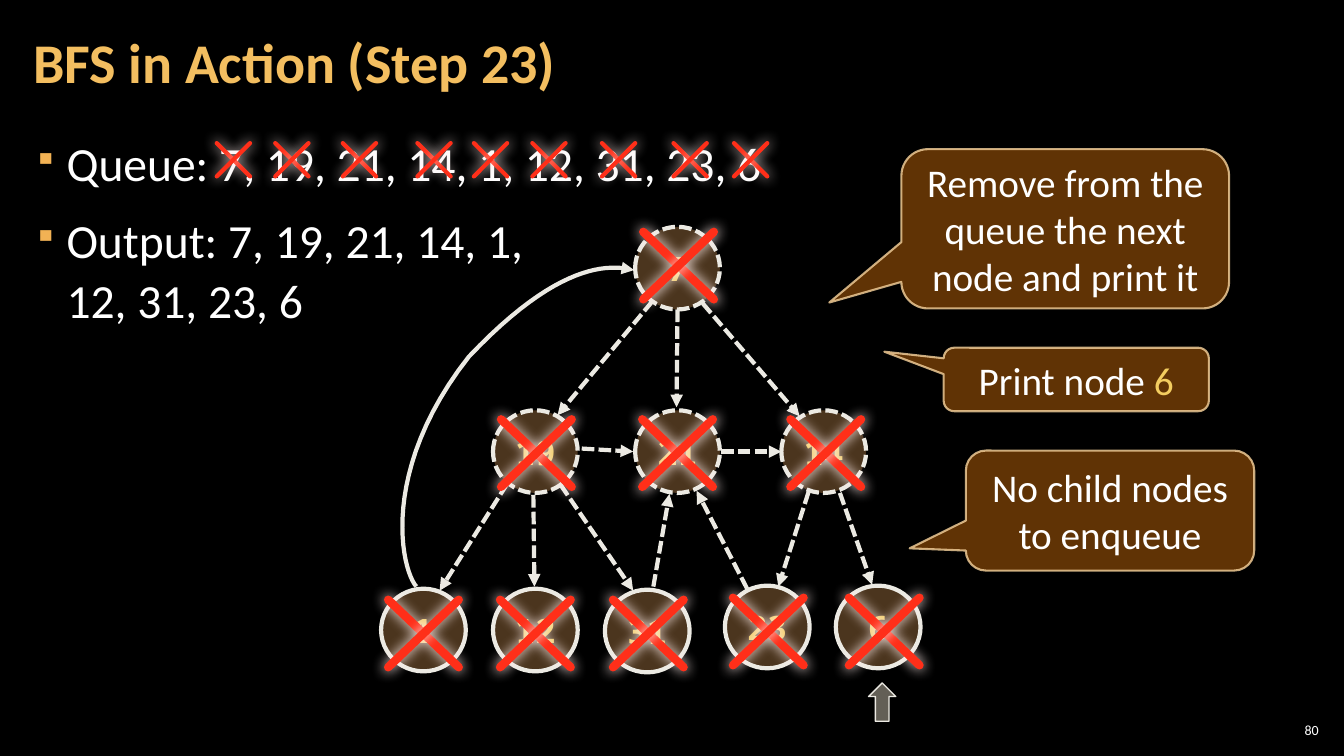
from lxml.etree import SubElement
from pptx import Presentation
from pptx.dml.color import RGBColor
from pptx.enum.dml import MSO_LINE
from pptx.enum.shapes import MSO_CONNECTOR, MSO_SHAPE
from pptx.enum.text import MSO_ANCHOR, PP_ALIGN
from pptx.oxml.ns import qn
from pptx.util import Inches, Pt

CREAM, RED, GOLD, WHITE = "ECEAE3", "FF2F19", "F3CD60", "FFFFFF"
NODE_WIDTH, NODE_HEIGHT = 0.84, 0.82


def paint(fill, color, alpha=100):
    fill.solid()
    fill.fore_color.rgb = RGBColor.from_string(color)
    if alpha < 100:
        tone = fill._xPr.find(qn("a:solidFill"))[0]
        SubElement(tone, qn("a:alpha"), val=str(alpha * 1000))


def add_stroke(start, end, color, width):
    """Add a straight line without a shadow; return it and its effect list."""
    stroke = slide.shapes.add_connector(
        MSO_CONNECTOR.STRAIGHT, *map(Inches, start + end))
    paint(stroke.line.fill, color)
    stroke.line.width = Pt(width)
    return stroke, SubElement(stroke._element.spPr, qn("a:effectLst"))


prs = Presentation()
prs.slide_width, prs.slide_height = Inches(13.33), Inches(7.5)
slide = prs.slides.add_slide(prs.slide_layouts[5])
paint(slide.background.fill, "000000")
lettering = []  # (shape, colour, font format), applied together below

# Title, lists and slide number
title = slide.shapes.title
title.left, title.top, title.width, title.height = map(Inches, (0.21, 0.04, 10.47, 1.21))
title.text_frame.text = "BFS in Action (Step 23)"
title.text_frame.paragraphs[0].line_spacing = 0.9
lettering.append((title, "F3BE60", {"size": Pt(40), "name": "Calibri", "bold": True}))

lists = slide.shapes.add_textbox(*map(Inches, (0.21, 1.26, 12.91, 6.09)))
lists.text_frame.text = ("Queue: 7, 19, 21, 14, 1, 12, 31, 23, 6\n"
                         "Output: 7, 19, 21, 14, 1,\v12, 31, 23, 6")
for index, paragraph in enumerate(lists.text_frame.paragraphs):
    properties = paragraph._p.get_or_add_pPr()
    properties.set("marL", str(Inches(0.33)))
    properties.set("indent", str(-Inches(0.33)))
    SubElement(SubElement(properties, qn("a:buClr")), qn("a:srgbClr"), val="F2B254")
    SubElement(properties, qn("a:buSzPct"), val="70000")
    SubElement(properties, qn("a:buChar"), char="▪")
    paragraph.line_spacing = 1.05
    paragraph.space_before = Pt(6 if index else 0)
    paragraph.space_after = Pt(6)
lettering.append((lists, WHITE, {"size": Pt(34), "name": "Calibri"}))

number = slide.shapes.add_textbox(*map(Inches, (12.65, 7.14, 0.47, 0.21)))
number.text_frame.text = "80"
lettering.append((number, WHITE, {"size": Pt(10), "name": "Calibri"}))

for block, side, anchor, align in (
        (title, 0.12, MSO_ANCHOR.MIDDLE, PP_ALIGN.LEFT),
        (lists, 0.12, MSO_ANCHOR.TOP, PP_ALIGN.LEFT),
        (number, 0.04, MSO_ANCHOR.MIDDLE, PP_ALIGN.RIGHT)):
    layout = {"margin_left": Inches(side), "margin_right": Inches(side),
              "margin_top": Inches(0.04), "margin_bottom": Inches(0.04),
              "vertical_anchor": anchor, "word_wrap": True}
    for name, value in layout.items():
        setattr(block.text_frame, name, value)
    for paragraph in block.text_frame.paragraphs:
        paragraph.alignment = align

# Pointer below the current node
pointer = slide.shapes.add_shape(
    MSO_SHAPE.RIGHT_ARROW, *map(Inches, (8.56, 6.83, 0.38, 0.27)))
pointer.rotation = 270
pointer.shadow.inherit = False
paint(pointer.fill, "C7BFAC", 50)
paint(pointer.line.fill, CREAM)
pointer.line.width = Pt(1)

# Graph edges
edges = [
    ((6.47, 2.99), (5.53, 4.12)), ((6.72, 3.07), (6.71, 4.04)),
    ((6.97, 3.01), (7.93, 4.13)), ((5.77, 4.45), (6.28, 4.48)),
    ((7.15, 4.48), (7.75, 4.48)), ((5.03, 4.80), (4.36, 5.86)),
    ((5.29, 4.91), (5.30, 5.82)), ((5.56, 4.81), (6.28, 5.86)),
    ((6.48, 5.82), (6.64, 4.90)), ((7.41, 5.84), (6.91, 4.87)),
    ((8.02, 4.88), (7.72, 5.82)), ((8.33, 4.89), (8.65, 5.80)),
]
for start, end in edges:
    edge, _ = add_stroke(start, end, CREAM, 3)
    edge.line.dash_style = MSO_LINE.SQUARE_DOT
    SubElement(edge.line._ln, qn("a:tailEnd"), type="triangle")

# Curved edge from node 1 back to node 7, as points on two Bézier arcs
arcs = [((4.13, 5.82), (3.98, 5.65), (3.76, 4.67), (4.65, 3.54)),
        ((4.65, 3.54), (5.54, 2.60), (6.04, 2.62), (6.29, 2.68))]
steps = 24
curve_points = []
for arc in arcs:
    for step in range(1, steps + 1):
        t = step / steps
        weights = ((1 - t) ** 3, 3 * t * (1 - t) ** 2, 3 * t * t * (1 - t), t ** 3)
        curve_points.append(tuple(
            Inches(sum(w * point[axis] for w, point in zip(weights, arc)))
            for axis in (0, 1)))
outline = slide.shapes.build_freeform(*map(Inches, arcs[0][0]))
outline.add_line_segments(curve_points, close=False)
back_edge = outline.convert_to_shape()
back_edge.shadow.inherit = False
back_edge.fill.background()
paint(back_edge.line.fill, CREAM)
back_edge.line.width = Pt(3)
SubElement(back_edge.line._ln, qn("a:round"))
SubElement(back_edge.line._ln, qn("a:tailEnd"), type="triangle")

# Nodes: label, left, top, left and top of the cross, dashed outline
nodes = [
    ("7", 6.30, 2.25, 6.38, 2.30, True),
    ("19", 4.89, 4.07, 4.97, 4.16, True),
    ("21", 6.30, 4.07, 6.37, 4.16, True),
    ("14", 7.75, 4.07, 7.84, 4.16, True),
    ("1", 3.78, 5.84, 3.85, 5.95, False),
    ("12", 4.89, 5.84, 4.96, 5.95, False),
    ("31", 6.00, 5.85, 6.08, 5.95, False),
    ("23", 7.19, 5.81, 7.27, 5.93, False),
    ("6", 8.29, 5.81, 8.42, 5.93, False),
]
queue_lefts = (2.15, 2.73, 3.40, 4.14, 4.70, 5.28, 5.97, 6.68, 7.28)
crosses = [(left, 1.42, 0.33, 0.33, 3) for left in queue_lefts]
for label, left, top, cross_left, cross_top, dashed in nodes:
    node = slide.shapes.add_shape(
        MSO_SHAPE.OVAL, *map(Inches, (left, top, NODE_WIDTH, NODE_HEIGHT)))
    node.shadow.inherit = False
    paint(node.fill, "6C4C2C", 70)
    paint(node.line.fill, CREAM)
    node.line.width = Pt(3)
    if dashed:
        node.line.dash_style = MSO_LINE.SQUARE_DOT
    node.text_frame.text = label
    node.text_frame.word_wrap = False
    node.text_frame.vertical_anchor = MSO_ANCHOR.MIDDLE
    node.text_frame.paragraphs[0].alignment = PP_ALIGN.CENTER
    lettering.append((node, GOLD, {"size": Pt(24), "name": "Noto Sans Mono", "bold": True}))
    crosses.append((cross_left, cross_top, 0.7, 0.67, 6))

# Glowing crosses over the queue and the visited nodes
for left, top, width, height, weight in crosses:
    right, bottom = left + width, top + height
    for start, end in (((left, top), (right, bottom)), ((right, top), (left, bottom))):
        bar, effects = add_stroke(start, end, RED, weight)
        bar.line._ln.set("cap", "rnd")
        glow = SubElement(effects, qn("a:outerShdw"), blurRad=str(Pt(10)),
                          dist="0", dir="5400000", algn="ctr", rotWithShape="0")
        SubElement(glow, qn("a:srgbClr"), val="FFEDEB")

# Callouts: text, box, tip of the wedge
callouts = [
    (["Remove from the queue the next node and print it"],
     (8.94, 1.48, 3.25, 1.58), (-0.72, 0.463)),
    (["No child nodes to enqueue"], (9.58, 4.47, 2.86, 1.19), (-0.695, 0.315)),
    (["Print node ", "6"], (9.36, 3.45, 2.63, 0.63), (-0.724, -0.437)),
]
for parts, box, tip in callouts:
    callout = slide.shapes.add_shape(
        MSO_SHAPE.ROUNDED_RECTANGULAR_CALLOUT, *map(Inches, box))
    callout.adjustments[0], callout.adjustments[1] = tip
    callout.shadow.inherit = False
    paint(callout.fill, "663606", 95)
    paint(callout.line.fill, "F8D49E", 80)
    callout.line.width = Pt(1.5)
    callout.text_frame.word_wrap = True
    callout.text_frame.vertical_anchor = MSO_ANCHOR.MIDDLE
    message = callout.text_frame.paragraphs[0]
    message.alignment = PP_ALIGN.CENTER
    for part in parts:
        message.add_run().text = part
    lettering.append((callout, WHITE, {"size": Pt(28), "name": "Calibri"}))

for block, color, font_format in lettering:
    for paragraph in block.text_frame.paragraphs:
        for run in paragraph.runs:
            for name, value in font_format.items():
                setattr(run.font, name, value)
            paint(run.font.fill, color)
printed_node = message.runs[-1]
paint(printed_node.font.fill, GOLD)

prs.save("out.pptx")
